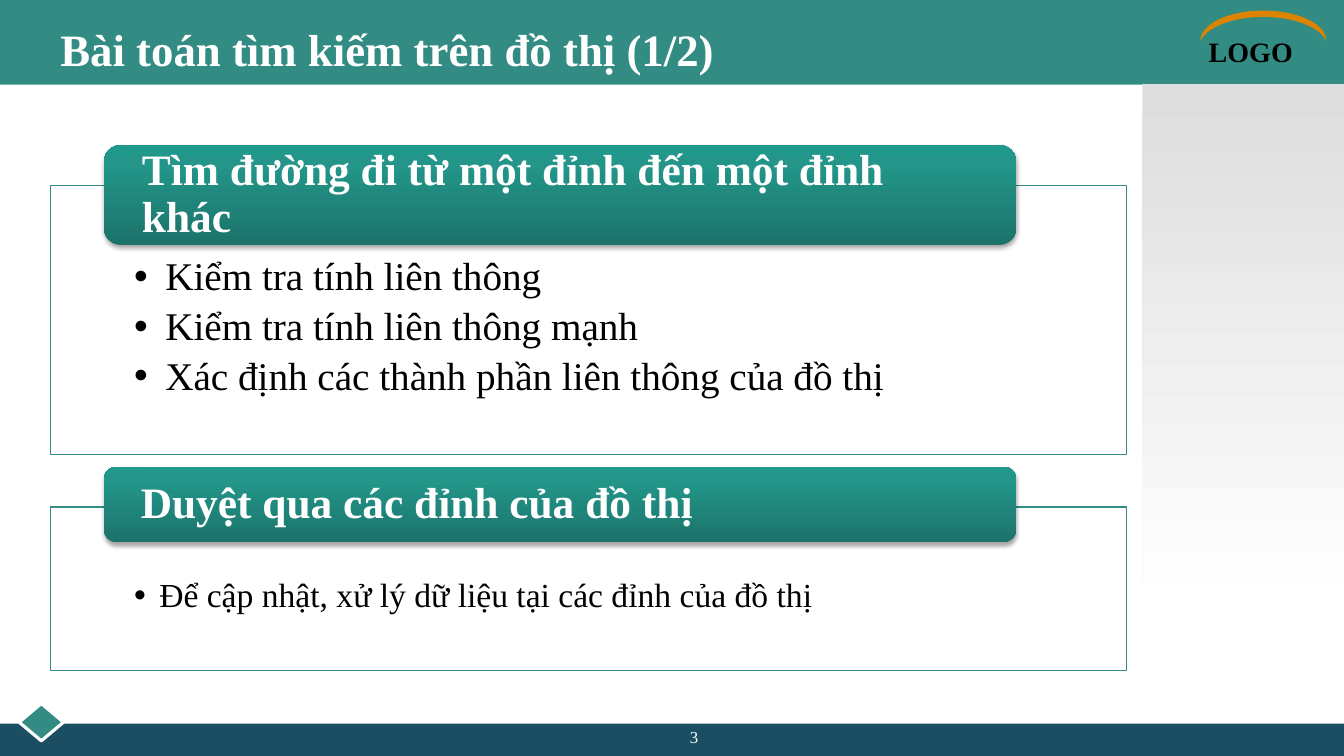
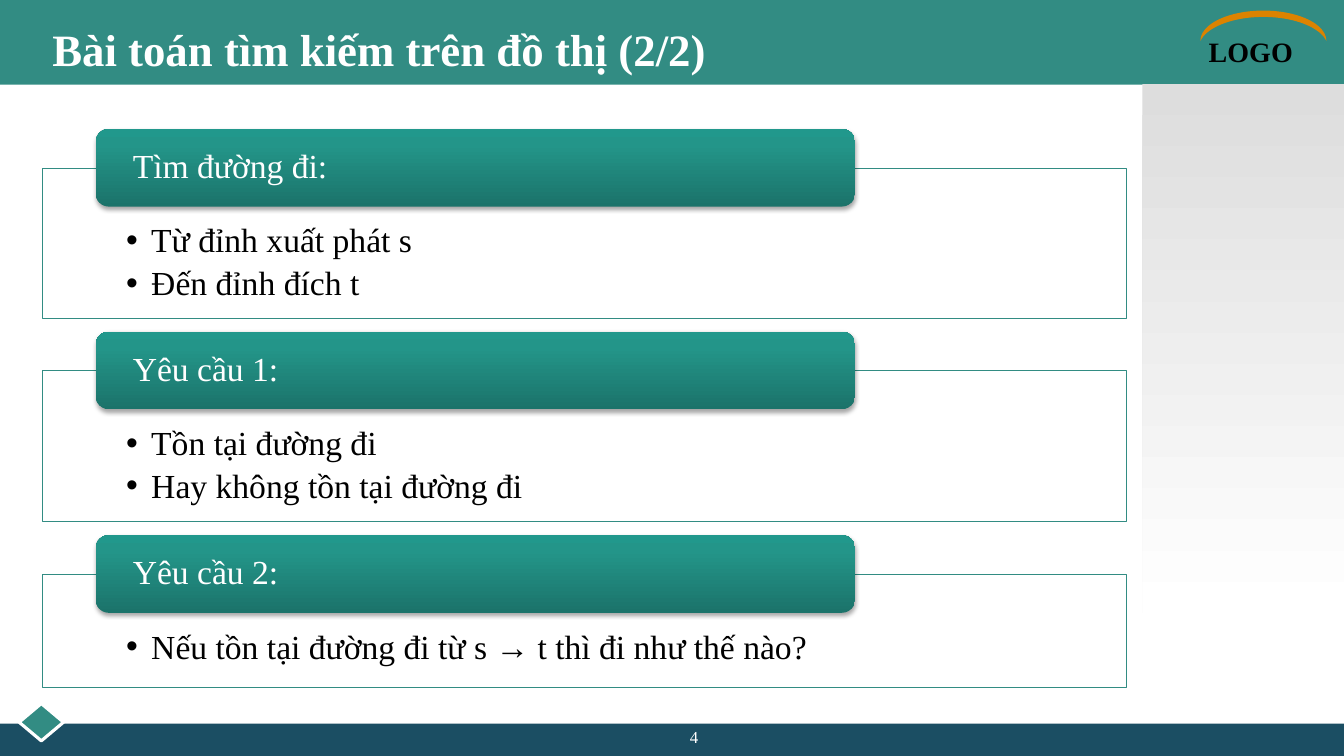
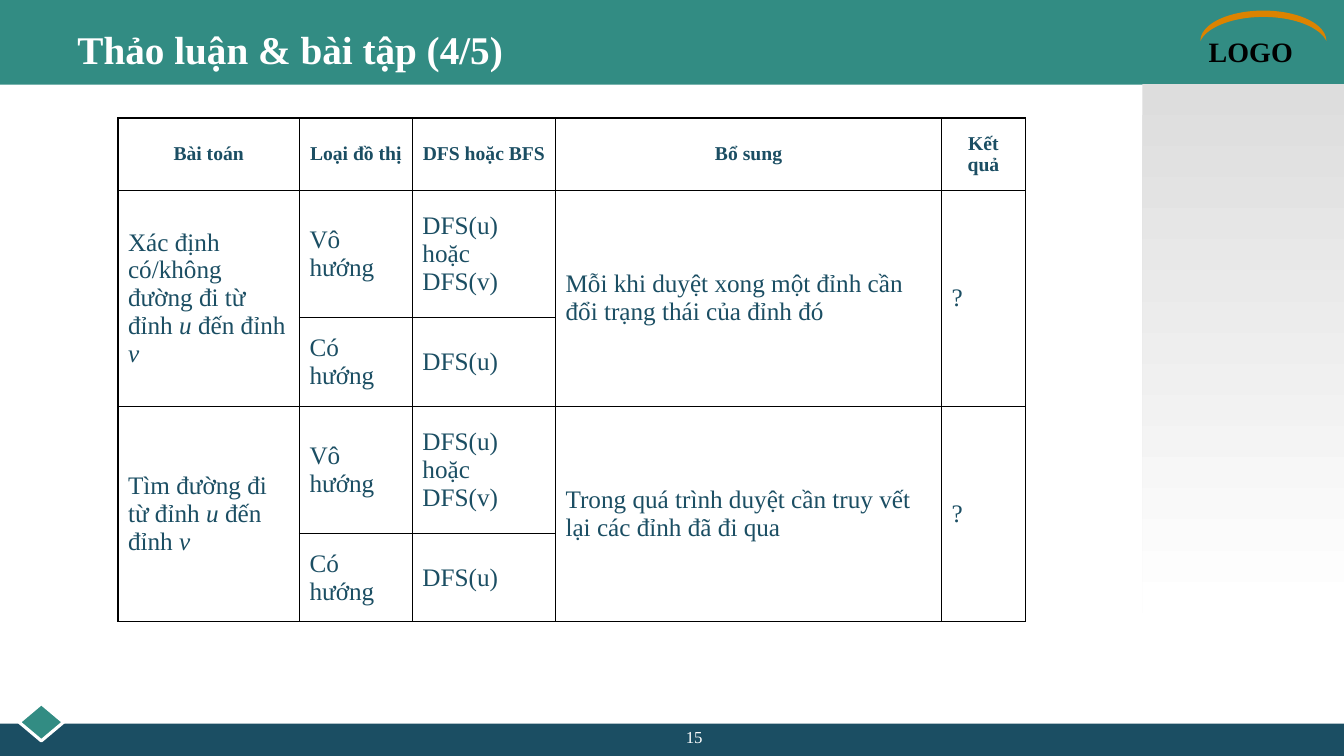
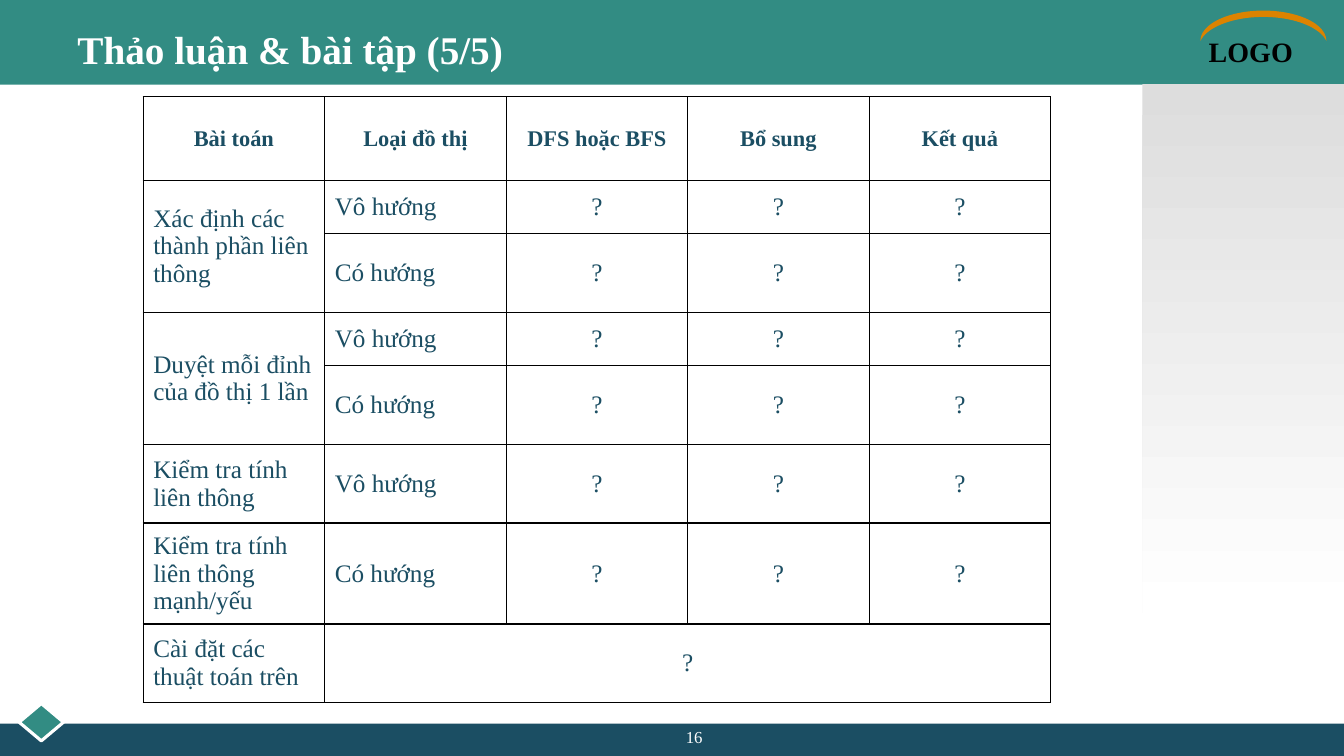
from pptx import Presentation
from pptx.dml.color import RGBColor
from pptx.enum import shapes, text
from pptx.oxml import parse_xml
from pptx.oxml.ns import nsdecls
from pptx.util import Inches, Pt

FONT = "Times New Roman"
HUES = {
    "teal": "328C83", "navy": "1B4E63", "gold": "DC8300",
    "white": "FFFFFF", "black": "000000", "gray": "DDDDDD",
    "deep": "1B736A", "mid": "239589", "light": "21988C",
}
KINDS = shapes.MSO_SHAPE
LEFT, CENTER = text.PP_ALIGN.LEFT, text.PP_ALIGN.CENTER
MIDDLE = text.MSO_ANCHOR.MIDDLE
INSET = (0.1, 0.05, 0.1, 0.05)


def put(frame, lines, size=18, hue="navy", bold=False, align=LEFT,
        inset=None, mid=False, dent=0, lead=None, after=0):
    if inset:
        frame.word_wrap = True
        frame.margin_left, frame.margin_top, frame.margin_right, frame.margin_bottom = map(Inches, inset)
        frame.vertical_anchor = MIDDLE if mid else text.MSO_ANCHOR.TOP
    for row, line in enumerate(lines):
        para = frame.add_paragraph() if row else frame.paragraphs[0]
        para.alignment = align
        para.line_spacing = lead
        para.space_after = Pt(after)
        if dent:
            props = para._p.get_or_add_pPr()
            props.set("marL", str(Inches(dent)))
            props.set("indent", str(-Inches(dent)))
            props.append(parse_xml(f'<a:buFont {nsdecls("a")} typeface="Arial"/>'))
            props.append(parse_xml(f'<a:buChar {nsdecls("a")} char="•"/>'))
        for part, words in enumerate(line.split("*")):
            if words:
                run = para.add_run()
                run.text = words
                run.font.name = FONT
                run.font.size = Pt(size)
                run.font.bold = bold
                run.font.italic = part % 2 == 1
                run.font.color.rgb = RGBColor.from_string(HUES[hue])


def draw(page, kind, box, fill, line=None, width=0.75, angle=90):
    shape = page.shapes.add_shape(kind, *map(Inches, box))
    shape.shadow.inherit = False
    if isinstance(fill, str):
        shape.fill.solid()
        shape.fill.fore_color.rgb = RGBColor.from_string(HUES[fill])
    else:
        stops = "".join(
            f'<a:gs pos="{spot * 1000}"><a:srgbClr val="{HUES[hue]}"/></a:gs>' for spot, hue in fill)
        shape._element.spPr.find("{*}prstGeom").addnext(parse_xml(
            f'<a:gradFill {nsdecls("a")} rotWithShape="1"><a:gsLst>{stops}</a:gsLst>'
            f'<a:lin ang="{angle * 60000}" scaled="0"/></a:gradFill>'))
    if line:
        shape.line.color.rgb = RGBColor.from_string(HUES[line])
        shape.line.width = Pt(width)
    else:
        shape.line.fill.background()
    return shape


deck = Presentation()
deck.slide_width, deck.slide_height = Inches(13.33), Inches(7.5)
blank = deck.slide_layouts[6]
for holder in list(blank.placeholders):
    holder.element.getparent().remove(holder.element)

heads = [
    ("Bài toán tìm kiếm trên đồ thị (1/2)", 0.5, 32, "3"),
    ("Bài toán tìm kiếm trên đồ thị (2/2)", 0.42, 32, "4"),
    ("Thảo luận & bài tập (4/5)", 0.67, 28, "15"),
    ("Thảo luận & bài tập (5/5)", 0.67, 28, "16"),
]
pages = [deck.slides.add_slide(blank) for head in heads]

first = pages[0]
draw(first, KINDS.RECTANGLE, (0, 0, 13.33, 0.84), "teal")
draw(first, KINDS.RECTANGLE, (0, 7.18, 13.33, 0.33), "navy")
draw(first, KINDS.DIAMOND, (0.19, 6.98, 0.44, 0.37), "teal", "white", 2.25)
label = first.shapes.add_textbox(*map(Inches, (11.89, 0.29, 1.44, 0.43)))
put(label.text_frame, ["LOGO"], size=20, hue="black", bold=True, inset=INSET)
arc = draw(first, KINDS.MOON, (12.38, -0.37, 0.3, 1.25), "gold")
arc.adjustments[0] = 0.21
arc.rotation = 90
draw(first, KINDS.RECTANGLE, (11.33, 0.83, 2, 5.25), [(0, "gray"), (100, "white")])
for shape in list(first.shapes):
    blank.shapes.element.append(shape.element)

for page, (name, left, size, number) in zip(pages, heads):
    title = page.shapes.add_textbox(*map(Inches, (left, 0.17, 10.75, 0.62)))
    put(title.text_frame, [name], size=size, hue="white", bold=True, inset=INSET, mid=True)
    foot = page.shapes.add_textbox(*map(Inches, (5.33, 7.16, 3.11, 0.26)))
    put(foot.text_frame, [number], size=12, hue="white", align=CENTER, inset=INSET)

groups = [
    (pages[0], 0.5, 10.67, 9.05, 0.4, 0.71, 31, True, [
        (1.84, 2.67, 0.99, 28, 0.31, "Tìm đường đi từ một đỉnh đến một đỉnh khác",
         ["Kiểm tra tính liên thông", "Kiểm tra tính liên thông mạnh",
          "Xác định các thành phần liên thông của đồ thị"]),
        (5.03, 1.62, 0.75, 24, 0.25, "Duyệt qua các đỉnh của đồ thị",
         ["Để cập nhật, xử lý dữ liệu tại các đỉnh của đồ thị"]),
    ]),
    (pages[1], 0.42, 10.75, 7.53, 0.39, 0.55, 24, False, [
        (1.67, 1.49, 0.77, 24, 0.25, "Tìm đường đi:", ["Từ đỉnh xuất phát s", "Đến đỉnh đích t"]),
        (3.68, 1.49, 0.77, 24, 0.25, "Yêu cầu 1:", ["Tồn tại đường đi", "Hay không tồn tại đường đi"]),
        (5.7, 1.12, 0.77, 24, 0.25, "Yêu cầu 2:", ["Nếu tồn tại đường đi từ s → t thì đi như thế nào?"]),
    ]),
]
for page, left, wide, span, rise, drop, big, bold, cards in groups:
    for top, high, tall, size, dent, name, items in cards:
        frame = draw(page, KINDS.RECTANGLE, (left, top, wide, high), "white", "teal")
        put(frame.text_frame, items, size=size, hue="black", inset=(0.83, drop, 0.83, 0.19),
            dent=dent, lead=0.9, after=round(size * 0.19, 1))
        tab = draw(page, KINDS.ROUNDED_RECTANGLE, (left + 0.53, top - rise, span, tall),
                   [(0, "deep"), (80, "mid"), (100, "light")], angle=270)
        glow = tab._element.spPr.find("{*}effectLst")
        glow.append(parse_xml(
            f'<a:outerShdw {nsdecls("a")} blurRad="{Pt(3.1)}" dist="{Pt(1.8)}" dir="5400000" rotWithShape="0">'
            f'<a:srgbClr val="{HUES["black"]}"><a:alpha val="35000"/></a:srgbClr></a:outerShdw>'))
        put(tab.text_frame, [name], size=big, hue="white", bold=bold,
            inset=(0.33, 0, 0.33, 0), mid=True, lead=0.9)

names = ["Bài toán", "Loại đồ thị", "DFS hoặc BFS", "Bổ sung", "Kết quả"]
both, asks = "DFS(u) hoặc DFS(v)", ["?"] * 3
grids = [
    (pages[2], 1.17, 1.17, [1.8, 1.12, 1.42, 3.83, 0.83], [0.72, 1.26, 0.88, 1.26, 0.88], 14, LEFT,
     [(r, c, r + 1, c) for r in (1, 3) for c in (0, 3, 4)],
     [names,
      ["Xác định có/không đường đi từ đỉnh *u* đến đỉnh *v*", "Vô hướng", both,
       "Mỗi khi duyệt xong một đỉnh cần đổi trạng thái của đỉnh đó", "?"],
      ["", "Có hướng", "DFS(u)", "", ""],
      ["Tìm đường đi từ đỉnh *u* đến đỉnh *v*", "Vô hướng", both,
       "Trong quá trình duyệt cần truy vết lại các đỉnh đã đi qua", "?"],
      ["", "Có hướng", "DFS(u)", "", ""]]),
    (pages[3], 1.42, 0.96, [1.8] * 5, [0.83, 0.53, 0.78, 0.53, 0.78, 0.78, 0.97, 0.78], 16, CENTER,
     [(1, 0, 2, 0), (3, 0, 4, 0), (7, 1, 7, 4)],
     [names,
      ["Xác định các thành phần liên thông", "Vô hướng", *asks],
      ["", "Có hướng", *asks],
      ["Duyệt mỗi đỉnh của đồ thị 1 lần", "Vô hướng", *asks],
      ["", "Có hướng", *asks],
      ["Kiểm tra tính liên thông", "Vô hướng", *asks],
      ["Kiểm tra tính liên thông mạnh/yếu", "Có hướng", *asks],
      ["Cài đặt các thuật toán trên", "?", "", "", ""]]),
]
for page, left, top, cols, rows, size, align, spans, cells in grids:
    box = map(Inches, (left, top, sum(cols), sum(rows)))
    table = page.shapes.add_table(len(rows), len(cols), *box).table
    table.first_row = table.horz_banding = False
    for col, wide in zip(table.columns, cols):
        col.width = Inches(wide)
    for row, high in zip(table.rows, rows):
        row.height = Inches(high)
    for r0, c0, r1, c1 in spans:
        table.cell(r0, c0).merge(table.cell(r1, c1))
    for r, line in enumerate(cells):
        for c, words in enumerate(line):
            cell = table.cell(r, c)
            cell.vertical_anchor = MIDDLE
            cell.fill.background()
            props = cell._tc.get_or_add_tcPr()
            for spot, side in enumerate("LRTB"):
                props.insert(spot, parse_xml(
                    f'<a:ln{side} {nsdecls("a")} w="{Pt(1)}"><a:solidFill>'
                    f'<a:srgbClr val="{HUES["black"]}"/></a:solidFill></a:ln{side}>'))
            if r == 0:
                put(cell.text_frame, [words], size=size, bold=True, align=CENTER)
            elif words:
                put(cell.text_frame, [words], align=align if words == "?" else LEFT)

deck.save("out.pptx")
